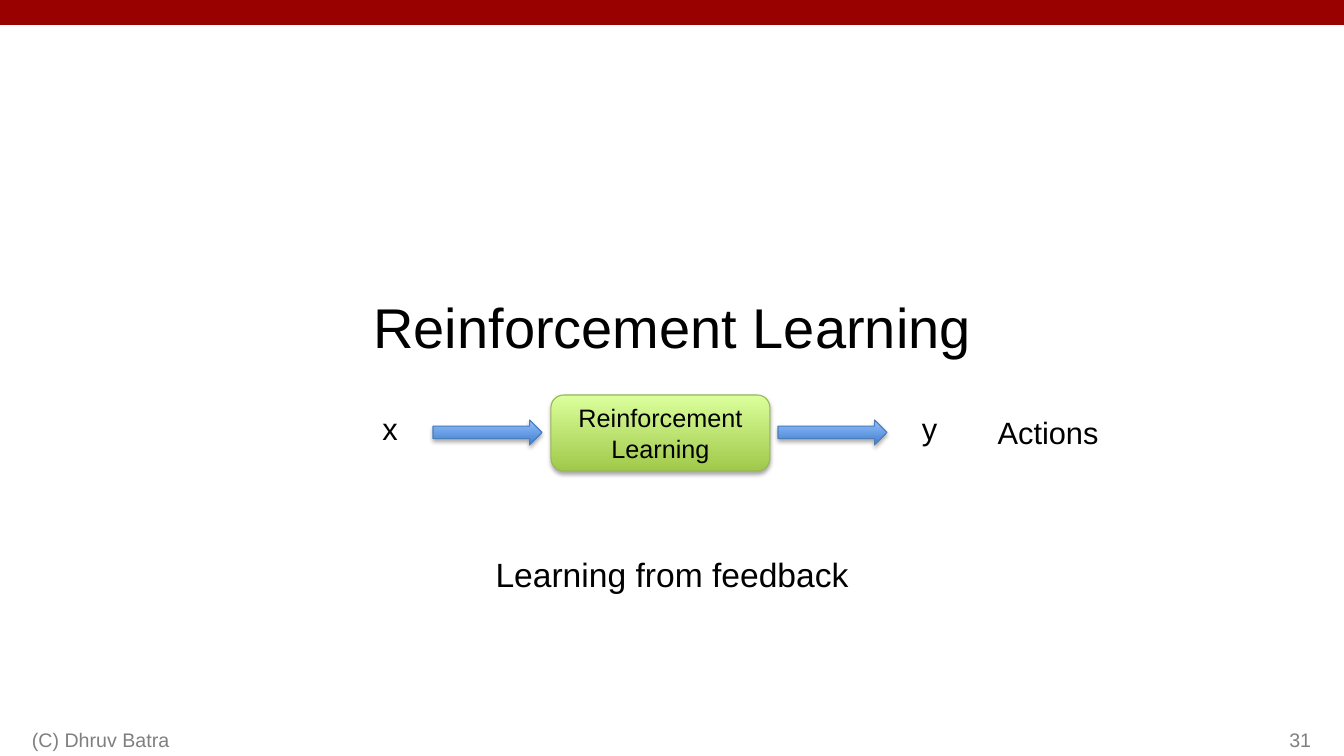
from lxml import etree
from pptx import Presentation
from pptx import util as u
from pptx.dml.color import RGBColor
from pptx.enum import shapes, text
from pptx.oxml.ns import qn

PX = 914400 / 100.8
COLORS = {
    "bar": "990000", "ink": "000000", "footer": "7F7F7F",
    "green_dark": "A0C94A", "green_light": "DBFF9C", "green_line": "97B853",
    "blue_dark": "3E7FCD", "blue_light": "96C0FF", "blue_line": "4A7DBA",
}
ALIGN, ANCHOR = text.PP_ALIGN, text.MSO_ANCHOR

deck = Presentation()
deck.slide_width, deck.slide_height = u.Inches(13.333), u.Inches(7.5)
page = deck.slides.add_slide(deck.slide_layouts[6])


def write(content, size, place=None, box=None, color="ink",
          align=ALIGN.CENTER, anchor=ANCHOR.TOP):
    """Put text in the given box, or in a new text box at place."""
    if box is None:
        box = page.shapes.add_textbox(*[round(n * PX) for n in place])
    frame = box.text_frame
    frame.word_wrap = True
    frame.vertical_anchor = anchor
    para = frame.paragraphs[0]
    para.alignment = align
    span = para.add_run()
    span.text = content
    span.font.name, span.font.size = "Arial", u.Pt(size)
    span.font.color.rgb = RGBColor.from_string(COLORS[color])


def add_glossy(kind, place, hue):
    """Add a shape with a vertical gradient, thin outline and soft shadow."""
    shape = page.shapes.add_shape(kind, *[round(n * PX) for n in place])
    shape.fill.gradient()
    shape.fill.gradient_angle = 90
    for stop, tone in zip(shape.fill.gradient_stops, ("dark", "light")):
        stop.color.rgb = RGBColor.from_string(COLORS[f"{hue}_{tone}"])
    shape.line.color.rgb = RGBColor.from_string(COLORS[f"{hue}_line"])
    shape.line.width = u.Pt(0.75)
    shape.shadow.inherit = False
    effects = shape._element.spPr.find(qn("a:effectLst"))
    shadow = etree.SubElement(effects, qn("a:outerShdw"), blurRad="40000",
                              dist="23000", dir="5400000", rotWithShape="0")
    tint = etree.SubElement(shadow, qn("a:srgbClr"), val=COLORS["ink"])
    etree.SubElement(tint, qn("a:alpha"), val="35000")
    return shape


# Top bar
bar = page.shapes.add_shape(shapes.MSO_SHAPE.RECTANGLE, 0, 0,
                            deck.slide_width, round(25 * PX))
bar.shadow.inherit = False
bar.fill.solid()
bar.fill.fore_color.rgb = RGBColor.from_string(COLORS["bar"])
bar.line.fill.background()

# Title and summary
write("Reinforcement Learning", 40, (101, 288, 1142, 74))
write("Learning from feedback", 24, (101, 549, 1142, 49))

# Model box between its two arrows
model = add_glossy(shapes.MSO_SHAPE.ROUNDED_RECTANGLE, (551, 395, 219, 76), "green")
write("Reinforcement Learning", 18, box=model, anchor=ANCHOR.MIDDLE)
for left in (433, 778):
    add_glossy(shapes.MSO_SHAPE.RIGHT_ARROW, (left, 420, 109, 25), "blue")

# Input and output labels
for label, left, top, width in (("x", 372, 405, 36), ("y", 911, 405, 37),
                                ("Actions", 986, 409, 124)):
    write(label, 22, (left, top, width, 47))

# Footer
write("(C) Dhruv Batra", 14, (22, 706, 425, 50), color="footer",
      align=ALIGN.LEFT, anchor=ANCHOR.BOTTOM)
write("31", 14, (1041, 706, 280, 50), color="footer",
      align=ALIGN.RIGHT, anchor=ANCHOR.BOTTOM)

deck.save("out.pptx")
